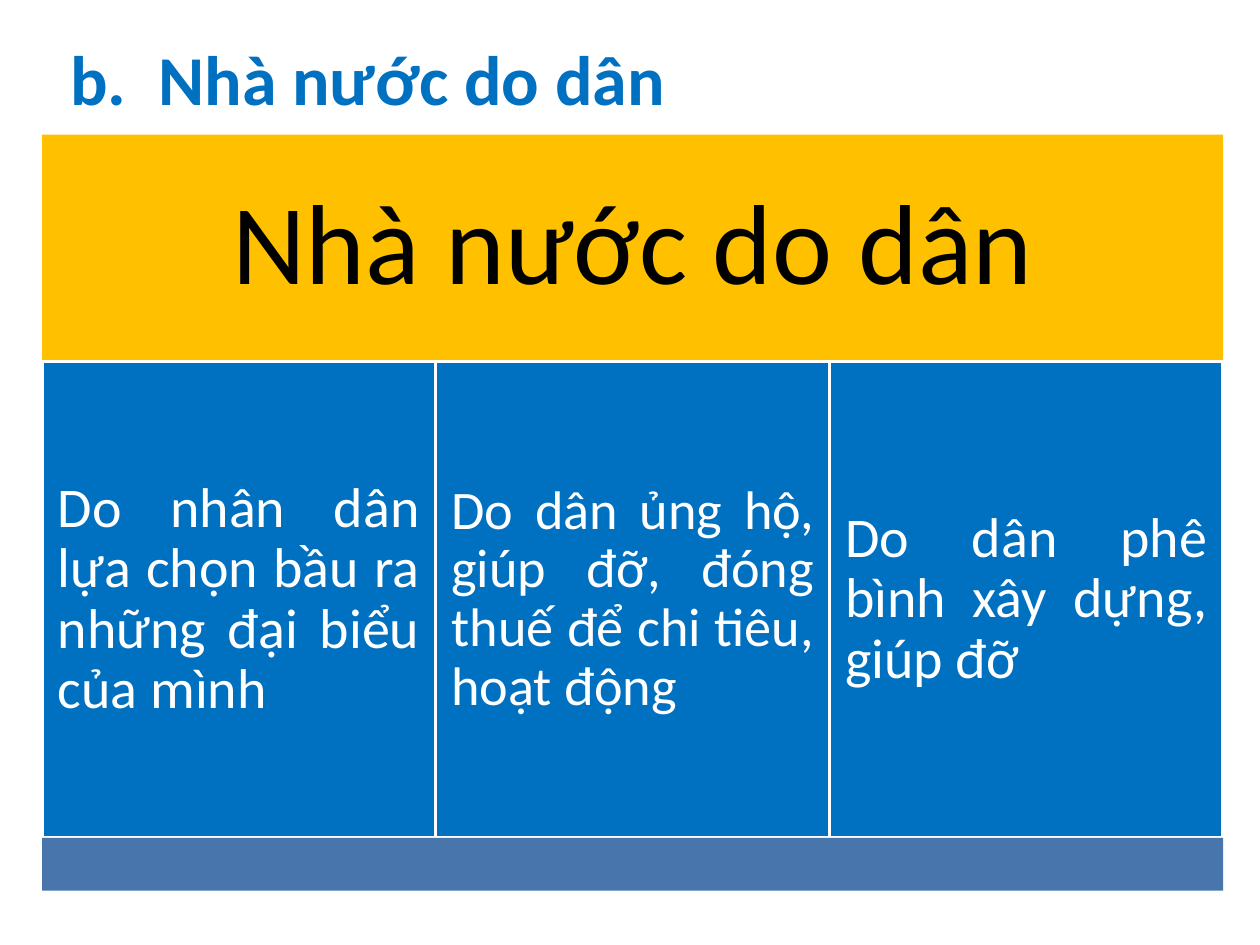
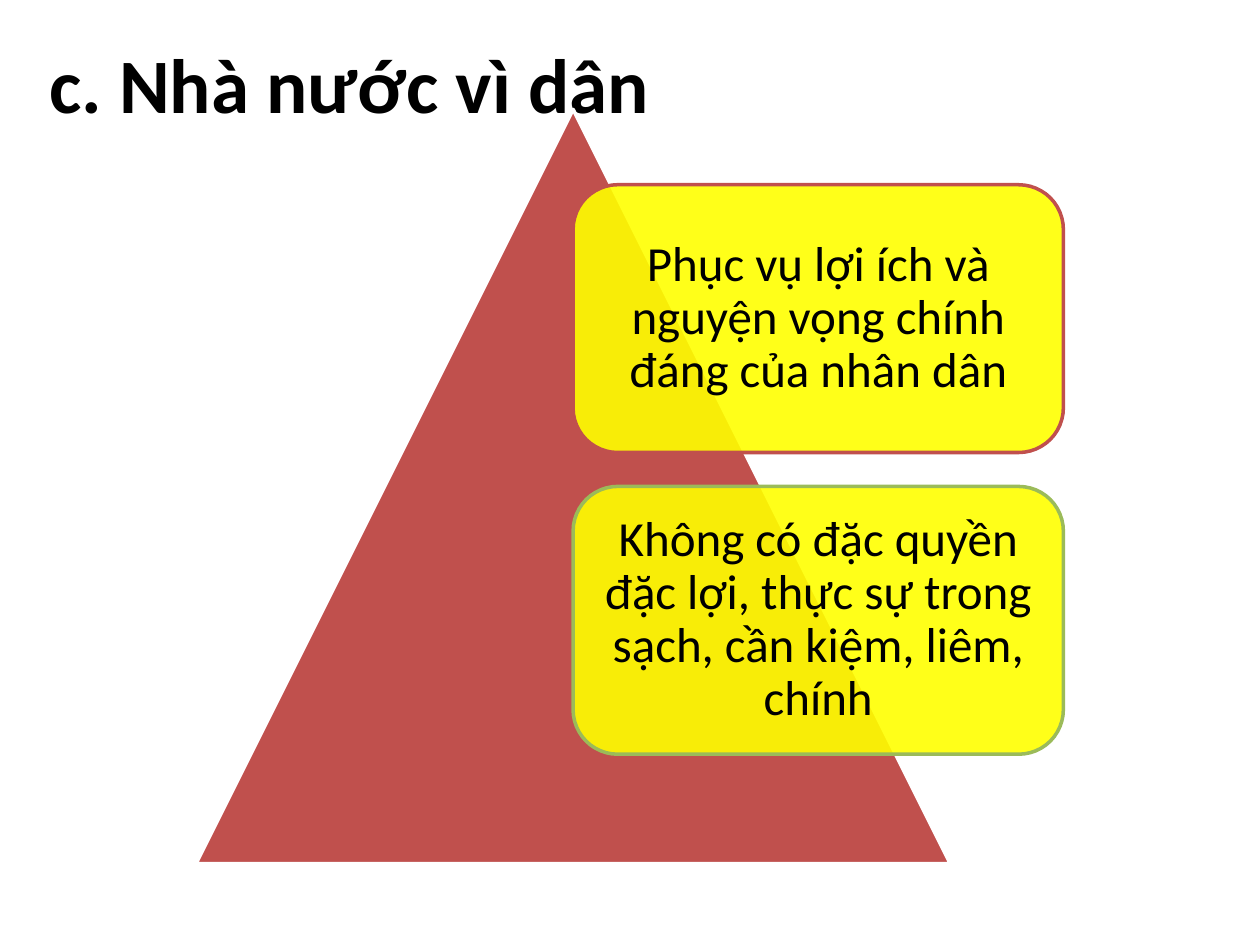
from lxml import etree
from pptx import Presentation
from pptx.dml.color import RGBColor
from pptx.enum.shapes import MSO_SHAPE
from pptx.enum.text import MSO_ANCHOR, PP_ALIGN
from pptx.oxml.ns import qn
from pptx.util import Pt

RECTANGLE = MSO_SHAPE.RECTANGLE
ROUNDED = MSO_SHAPE.ROUNDED_RECTANGLE
TRIANGLE = MSO_SHAPE.ISOSCELES_TRIANGLE
TOP, MIDDLE = MSO_ANCHOR.TOP, MSO_ANCHOR.MIDDLE
LEFT, CENTER, JUSTIFY = PP_ALIGN.LEFT, PP_ALIGN.CENTER, PP_ALIGN.JUSTIFY

FONT = "Calibri"
COLORS = {
    "white": "FFFFFF",
    "black": "000000",
    "blue": "0070C0",
    "gold": "FFC000",
    "steel": "4875AC",
    "red": "C0504D",
    "green": "9BBB59",
    "yellow": "FFFF00",
}


def color(name):
    return RGBColor.from_string(COLORS[name])


def write(shape, text, size, ink="black", bold=False, align=CENTER,
          anchor=MIDDLE, insets=(8.5, 8.5), spacing=0.9, hanging=0):
    frame = shape.text_frame
    frame.word_wrap = True
    frame.vertical_anchor = anchor
    frame.margin_left = frame.margin_right = Pt(insets[0])
    frame.margin_top = frame.margin_bottom = Pt(insets[1])
    paragraph = frame.paragraphs[0]
    paragraph.alignment = align
    paragraph.line_spacing = spacing
    if hanging:
        properties = paragraph._p.get_or_add_pPr()
        properties.set("marL", str(Pt(hanging)))
        properties.set("indent", str(-Pt(hanging)))
    run = paragraph.add_run()
    run.text = text
    run.font.name = FONT
    run.font.size = Pt(size)
    run.font.bold = bold
    run.font.color.rgb = color(ink)


def add_block(slide, kind, box, fill, line=None, opacity=100):
    shape = slide.shapes.add_shape(kind, *map(Pt, box))
    shape.shadow.inherit = False
    shape.fill.solid()
    shape.fill.fore_color.rgb = color(fill)
    if opacity < 100:
        fill_color = shape._element.spPr.find(qn("a:solidFill"))[0]
        etree.SubElement(fill_color, qn("a:alpha"), val=str(opacity * 1000))
    if line:
        shape.line.color.rgb = color(line)
        shape.line.width = Pt(2)
    else:
        shape.line.fill.background()
    return shape


def add_title(slide, box, text, size, ink, hanging=0):
    title = slide.shapes.add_textbox(*map(Pt, box))
    write(title, text, size, ink, bold=True, align=LEFT, anchor=TOP,
          insets=(7.2, 3.6), spacing=1, hanging=hanging)


def add_column_panel(slide, box, heading, columns):
    left, top, width, height = box
    header_height, column_height = 0.3 * height, 0.63 * height
    column_top = top + header_height
    footer_top = column_top + column_height
    column_width = width / len(columns)

    header = add_block(slide, RECTANGLE, (left, top, width, header_height), "gold")
    write(header, heading, 65, insets=(19.5, 19.5))
    for index, (text, size) in enumerate(columns):
        column_box = (left + index * column_width, column_top, column_width, column_height)
        column = add_block(slide, RECTANGLE, column_box, "blue", "white")
        write(column, text, size, "white", align=JUSTIFY, insets=(9, 9))
    footer_height = top + height - footer_top
    add_block(slide, RECTANGLE, (left, footer_top, width, footer_height), "steel")


def add_pyramid_list(slide, box, cards):
    left, top, width, height = box
    add_block(slide, TRIANGLE, box, "red", "white")
    for index, (text, outline) in enumerate(cards):
        card_box = (left + width / 2, top + (0.1 + 0.4 * index) * height,
                    0.65 * width, 0.355 * height)
        card = add_block(slide, ROUNDED, card_box, "yellow", outline, opacity=90)
        write(card, text, 28)


def main():
    presentation = Presentation()
    presentation.slide_width, presentation.slide_height = Pt(720), Pt(540)
    blank = presentation.slide_layouts[6]

    slide = presentation.slides.add_slide(blank)
    add_title(slide, (33, 16.5, 598, 89), "b.\tNhà nước do dân", 40, "blue", hanging=50.5)
    add_column_panel(slide, (24, 77, 675, 432), "Nhà nước do dân", [
        ("Do nhân dân lựa chọn bầu ra những đại biểu của mình", 32),
        ("Do dân ủng hộ, giúp đỡ, đóng thuế để chi tiêu, hoạt động", 31),
        ("Do dân phê bình xây dựng, giúp đỡ", 32),
    ])

    slide = presentation.slides.add_slide(blank)
    add_title(slide, (21, 17.5, 598, 94), "c. Nhà nước vì dân", 44, "black")
    add_pyramid_list(slide, (112, 62.5, 431, 431), [
        ("Phục vụ lợi ích và nguyện vọng chính đáng của nhân dân", "red"),
        ("Không có đặc quyền đặc lợi, thực sự trong sạch, cần kiệm, liêm, chính", "green"),
    ])

    presentation.save("out.pptx")


if __name__ == "__main__":
    main()
